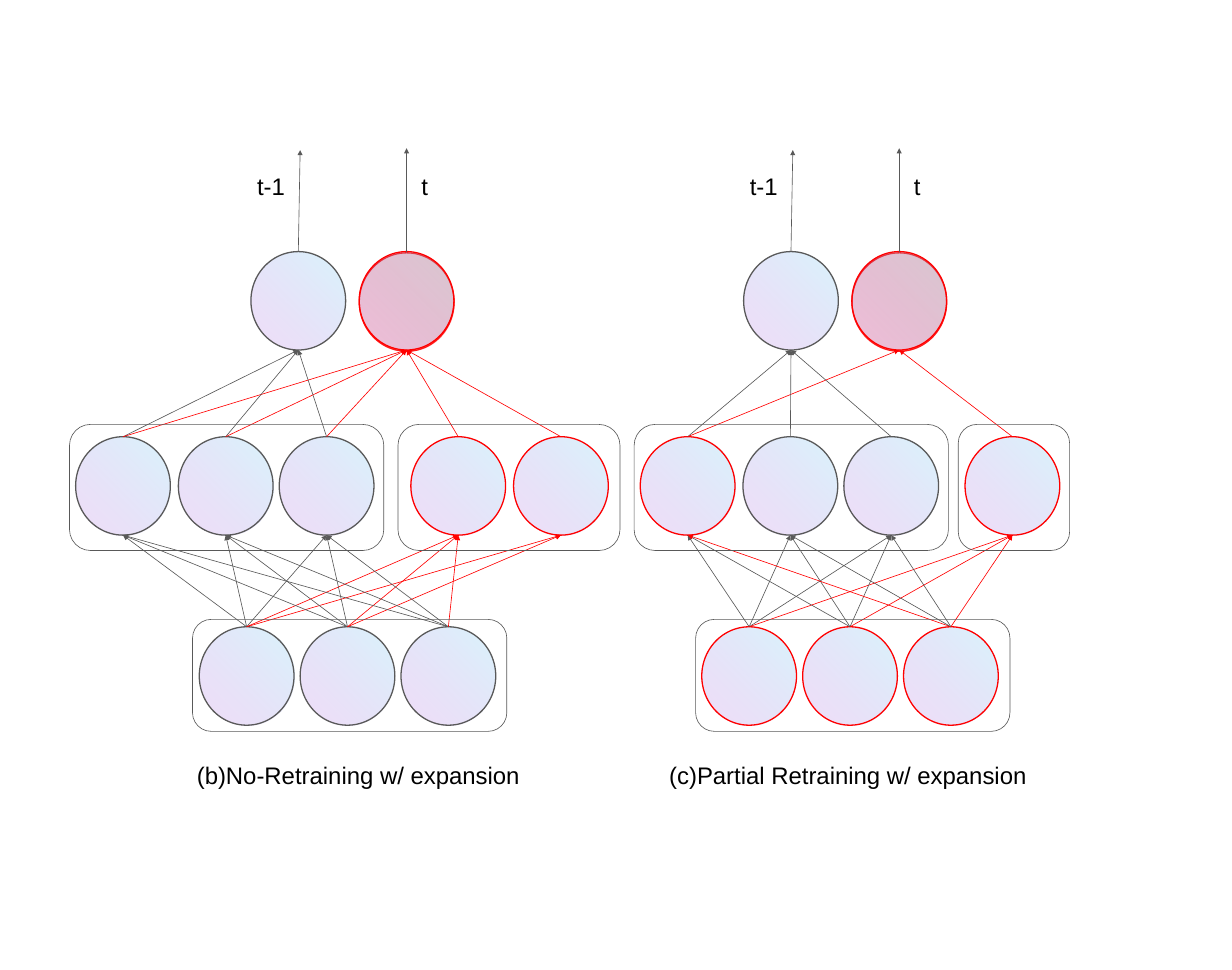
from pptx import Presentation
from pptx.dml.color import RGBColor
from pptx.enum.shapes import MSO_CONNECTOR, MSO_SHAPE
from pptx.enum.text import MSO_AUTO_SIZE
from pptx.oxml import parse_xml
from pptx.oxml.ns import nsdecls
from pptx.util import Pt

# Lengths are in px, 100 px to the inch
PX = 9144
SLIDE_WIDTH, SLIDE_HEIGHT = 2003, 1577
GREY = RGBColor(0x59, 0x59, 0x59)
RED = RGBColor(0xFF, 0x00, 0x00)
BLACK = RGBColor(0x00, 0x00, 0x00)
SKY = RGBColor(0x69, 0xD4, 0xF4)
VIOLET = RGBColor(0x9F, 0x39, 0xD5)
INK = {"g": GREY, "r": RED}

# Content: node centres by layer, their outlines (g grey, r red),
# and one row of links per source node ("." means no link)
NETWORKS = [
    {
        "caption": "No-Retraining w/ expansion", "number": 2,
        "caption_box": (285, 1216, 634, 87),
        "inputs": ((401, 565, 729), "ggg"),
        "hidden": ((200, 367, 531, 745, 912), "gggrr"),
        "outputs": ((485, 661), "gr"),
        "input_links": ("gggrr", "gggrr", "gggr."),
        "hidden_links": ("gr", "gr", "gr", ".r", ".r"),
        "frames": {"inputs": [(313, 511)], "hidden": [(113, 511), (647, 361)]},
    },
    {
        "caption": "Partial Retraining w/ expansion", "number": 3,
        "caption_box": (1053, 1216, 688, 87),
        "inputs": ((1218, 1382, 1546), "rrr"),
        "hidden": ((1118, 1285, 1449, 1646), "rggr"),
        "outputs": ((1286, 1462), "gr"),
        "input_links": ("gggr", "gggr", "rggr"),
        "hidden_links": ("gr", "g.", "g.", ".r"),
        "frames": {"inputs": [(1131, 511)], "hidden": [(1031, 511), (1558, 181)]},
    },
]
LAYER_Y = {"inputs": 1099, "hidden": 790, "outputs": 489}
FRAME_Y = {"inputs": (1007, 182), "hidden": (690, 205)}
# Task labels: text, shift from the node, width; then the arrow's lean and tip
TASKS = [("t-1", -87, 97, 3, 244), ("t", 4, 46, 0, 241)]
TASK_Y, TASK_HEIGHT = 259, 87
NODE_LENGTH, NODE_BREADTH = 160, 154
RADIUS = NODE_LENGTH // 2

TEXT_FORMAT = {"word_wrap": True, "auto_size": MSO_AUTO_SIZE.SHAPE_TO_FIT_TEXT,
               "margin_left": 20 * PX, "margin_right": 20 * PX,
               "margin_top": 20 * PX, "margin_bottom": 20 * PX}
FONT_FORMAT = {"name": "Arial", "size": Pt(28)}

presentation = Presentation()
presentation.slide_width = SLIDE_WIDTH * PX
presentation.slide_height = SLIDE_HEIGHT * PX
slide = presentation.slides.add_slide(presentation.slide_layouts[6])


def apply(target, formats):
    for name, value in formats.items():
        setattr(target, name, value)


def a_element(tag, attributes="", content=""):
    return parse_xml(f'<a:{tag} {nsdecls("a")} {attributes}>{content}</a:{tag}>')


def tint(color, alpha):
    return f'<a:srgbClr val="{color}"><a:alpha val="{alpha}000"/></a:srgbClr>'


def add_outline(kind, box, color, weight):
    outline = slide.shapes.add_shape(kind, *(length * PX for length in box))
    outline.shadow.inherit = False
    outline.line.color.rgb = color
    outline.line.width = Pt(weight)
    return outline


def add_node(x, y, color, glows):
    box = (x - RADIUS, y - NODE_BREADTH // 2, NODE_LENGTH, NODE_BREADTH)
    node = add_outline(MSO_SHAPE.OVAL, box, color, 1.5)
    node.rotation = 270
    properties = node.element.spPr
    stops = (f'<a:gs pos="0">{tint(SKY, 26)}</a:gs>'
             f'<a:gs pos="100000">{tint(VIOLET, 17)}</a:gs>')
    properties.prstGeom.addnext(a_element(
        "gradFill", 'rotWithShape="1"',
        f'<a:gsLst>{stops}</a:gsLst><a:lin ang="13500000" scaled="0"/>'))
    if glows:
        properties[-1].append(a_element(
            "outerShdw", f'blurRad="0" dist="{Pt(1.5)}" dir="{85 * 60000}" '
            'algn="bl" rotWithShape="0"', tint(RED, 89)))


def add_arrow(start, end, color):
    arrow = slide.shapes.add_connector(
        MSO_CONNECTOR.STRAIGHT, *(length * PX for length in start + end))
    arrow.line.color.rgb = color
    arrow.line.width = Pt(0.75)
    arrow.line._get_or_add_ln().append(a_element("tailEnd", 'type="triangle"'))
    arrow._element.spPr.append(a_element("effectLst"))


def add_label(text, box, number=None):
    frame = slide.shapes.add_textbox(*(length * PX for length in box)).text_frame
    apply(frame, TEXT_FORMAT)
    paragraph = frame.paragraphs[0]
    if number:
        numbering = paragraph._p.get_or_add_pPr()
        numbering.set("marL", str(50 * PX))
        numbering.set("indent", str(-35 * PX))
        numbering.append(a_element("buClr", "", f'<a:srgbClr val="{BLACK}"/>'))
        numbering.append(a_element("buFont", 'typeface="Arial"'))
        numbering.append(a_element(
            "buAutoNum", f'type="alphaLcParenBoth" startAt="{number}"'))
    run = paragraph.add_run()
    run.text = text
    apply(run.font, FONT_FORMAT)
    run.font.color.rgb = BLACK


for network in NETWORKS:
    # Nodes; the new task's output carries a red shadow
    for layer, y in LAYER_Y.items():
        for x, ink in zip(*network[layer]):
            add_node(x, y, INK[ink], layer == "outputs" and ink == "r")

    # Links from each layer up to the next
    for lower, upper, links in (("inputs", "hidden", "input_links"),
                                ("hidden", "outputs", "hidden_links")):
        for source_x, row in zip(network[lower][0], network[links]):
            for target_x, ink in zip(network[upper][0], row):
                if ink in INK:
                    add_arrow((source_x, LAYER_Y[lower] - RADIUS),
                              (target_x, LAYER_Y[upper] + RADIUS), INK[ink])

    # Frames around node groups
    for layer, groups in network["frames"].items():
        top, height = FRAME_Y[layer]
        for left, width in groups:
            group = add_outline(MSO_SHAPE.ROUNDED_RECTANGLE,
                                (left, top, width, height), GREY, 0.75)
            group.fill.background()

    # Task arrows and labels, then the caption
    for x, (task, shift, width, lean, tip) in zip(network["outputs"][0], TASKS):
        add_arrow((x, LAYER_Y["outputs"] - RADIUS), (x + lean, tip), GREY)
        add_label(task, (x + shift, TASK_Y, width, TASK_HEIGHT))
    add_label(network["caption"], network["caption_box"], network["number"])

presentation.save("out.pptx")
